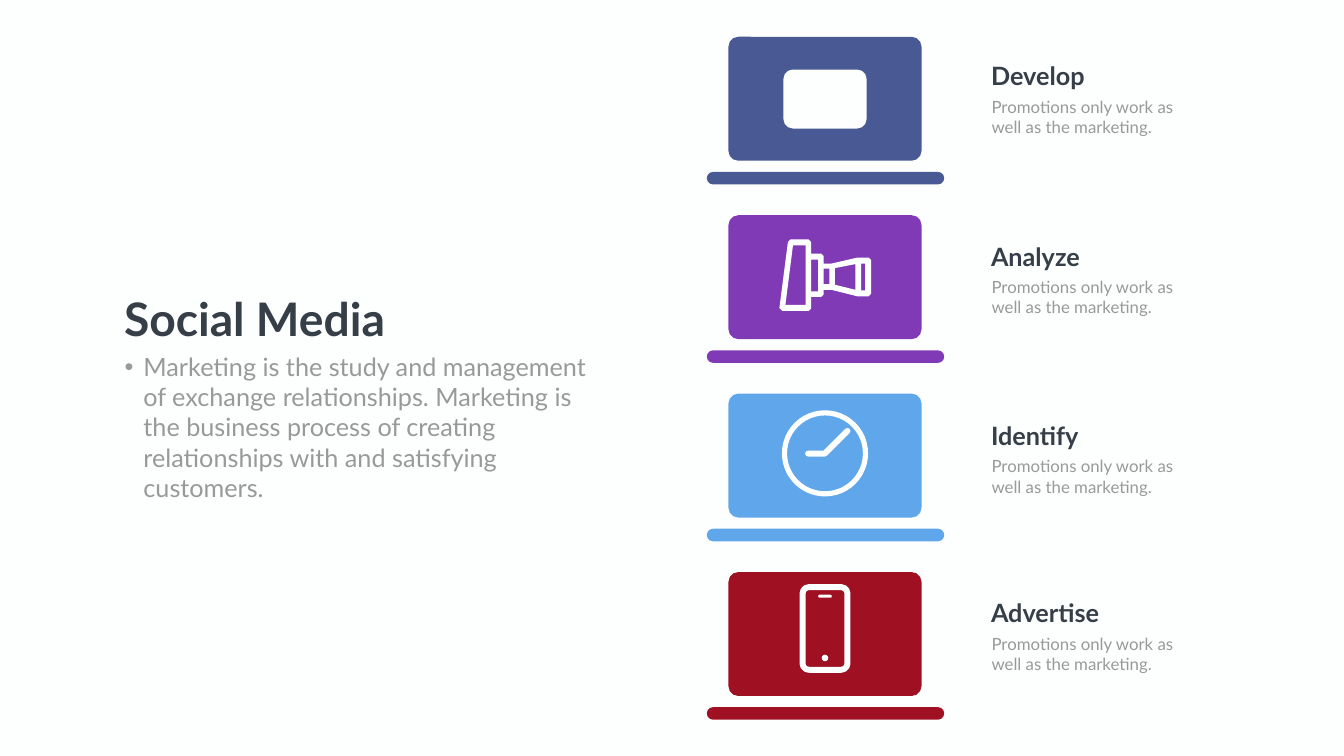
from dataclasses import dataclass

from lxml import etree
from pptx import Presentation
from pptx.dml.color import RGBColor
from pptx.enum.shapes import MSO_SHAPE
from pptx.enum.text import MSO_ANCHOR, MSO_AUTO_SIZE, PP_ALIGN
from pptx.oxml.ns import qn
from pptx.util import Inches, Pt

ROUND = MSO_SHAPE.ROUNDED_RECTANGLE
OVAL = MSO_SHAPE.OVAL
DONUT = MSO_SHAPE.DONUT
TOP = MSO_ANCHOR.TOP
LEFT = PP_ALIGN.LEFT
GROW = MSO_AUTO_SIZE.SHAPE_TO_FIT_TEXT


@dataclass(frozen=True)
class Theme:
    font: str = "Lato"
    paper: str = "FDFFFE"
    dark: str = "363E48"
    gray: str = "999999"
    blue: str = "485994"
    purple: str = "813AB6"
    sky: str = "5FA7EA"
    red: str = "9E1022"
    title: int = 66
    head: int = 36
    body: int = 24
    stroke: float = 8.5


THEME = Theme()
NOTE = "Promotions only work as well as the marketing."
PITCH = 3.54


def paint(shape, color):
    shape.shadow.inherit = False
    shape.fill.solid()
    shape.fill.fore_color.rgb = RGBColor.from_string(color)
    shape.line.fill.background()


def trace(shape):
    shape.shadow.inherit = False
    shape.fill.background()
    shape.line.color.rgb = RGBColor.from_string(THEME.paper)
    shape.line.width = Pt(THEME.stroke)


def place(shape, x, y, w, h):
    shape.left, shape.top = Inches(x), Inches(y)
    shape.width, shape.height = Inches(w), Inches(h)


def add_form(slide, kind, x, y, w, h, color, adjust=None):
    shape = slide.shapes.add_shape(
        kind, Inches(x), Inches(y), Inches(w), Inches(h))
    if adjust is not None:
        shape.adjustments[0] = adjust
    paint(shape, color)
    return shape


def add_path(slide, x, y, rings, close=True):
    rings = [[(Inches(x + a), Inches(y + b)) for a, b in ring]
             for ring in rings]
    pen = slide.shapes.build_freeform(*rings[0][0])
    for index, ring in enumerate(rings):
        if index:
            pen.move_to(*ring[0])
        pen.add_line_segments(ring[1:], close=close)
    return pen.convert_to_shape()


def write(shape, text, size, color, bold=False):
    frame = shape.text_frame
    frame.text = text
    frame.word_wrap = True
    frame.auto_size = GROW
    frame.vertical_anchor = TOP
    para = frame.paragraphs[0]
    para.alignment = LEFT
    para.space_before = Pt(0)
    para.font.name = THEME.font
    para.font.size = Pt(size)
    para.font.bold = bold
    para.font.color.rgb = RGBColor.from_string(color)


def add_text(slide, x, y, w, h, *style):
    box = slide.shapes.add_textbox(
        Inches(x), Inches(y), Inches(w), Inches(h))
    write(box, *style)


def draw_video(slide, x, y):
    add_form(slide, ROUND, x + 1.09, y + 0.65, 1.65, 1.17, THEME.paper, 0.16)


def draw_scope(slide, x, y):
    def pane(left, top, right, low):
        return [(left, top), (right, top), (right, low), (left, low)]

    body = [(0.17, 0.05), (0.22, 0), (0.58, 0), (0.63, 0.05), (0.63, 0.28),
            (0.83, 0.28), (0.88, 0.33), (0.88, 0.48), (1.03, 0.48),
            (1.55, 0.36), (1.77, 0.36), (1.82, 0.41), (1.82, 1.08),
            (1.77, 1.13), (1.55, 1.13), (1.03, 1), (0.88, 1), (0.88, 1.09),
            (0.83, 1.14), (0.63, 1.14), (0.63, 1.37), (0.58, 1.42),
            (0.06, 1.42), (0, 1.36)]
    rings = [
        body,
        [(0.27, 0.12), (0.52, 0.12), (0.52, 1.3), (0.12, 1.3)],
        pane(0.63, 0.4, 0.77, 1.03),
        pane(0.88, 0.58, 0.99, 0.89),
        [(1.1, 0.57), (1.51, 0.49), (1.51, 1), (1.1, 0.9)],
        pane(1.62, 0.48, 1.7, 1.01),
    ]
    paint(add_path(slide, x + 1.01, y + 0.48, rings), THEME.paper)


def draw_clock(slide, x, y):
    add_form(slide, DONUT, x + 1.06, y + 0.33, 1.71, 1.71, THEME.paper, 0.06)
    hands = [(1.58, 1.19), (1.91, 1.19), (2.36, 0.74)]
    shape = add_path(slide, x, y, [hands], close=False)
    trace(shape)
    line = shape.line._get_or_add_ln()
    line.set("cap", "rnd")
    etree.SubElement(line, qn("a:round"))


def draw_phone(slide, x, y):
    case = add_form(slide, ROUND, x + 1.47, y + 0.3, 0.89, 1.64,
                    THEME.paper, 0.14)
    trace(case)
    add_form(slide, OVAL, x + 1.85, y + 1.64, 0.13, 0.13, THEME.paper)
    add_form(slide, ROUND, x + 1.78, y + 0.45, 0.27, 0.06, THEME.paper, 0.5)


def add_step(slide, x, y, name, color, draw, drop):
    add_form(slide, ROUND, x + 0.43, y, 3.83, 2.46, color, 0.08)
    add_form(slide, ROUND, x, y + 2.68, 4.71, 0.25, color, 0.5)
    draw(slide, x + 0.43, y)
    add_text(slide, x + 5.54, y + drop, 2.61, 0.71,
             name, THEME.head, THEME.dark, True)
    add_text(slide, x + 5.55, y + drop + 0.71, 4.02, 0.91,
             NOTE, THEME.body, THEME.gray)


def add_intro(slide, x, y):
    title, body = slide.placeholders
    place(title, x, y, 7.05, 1.21)
    write(title, "Social Media", THEME.title, THEME.dark, True)
    place(body, x + 0.01, y + 1.21, 9.51, 2.52)
    body.text_frame.text = ""
    props = body.text_frame.paragraphs[0]._p.get_or_add_pPr()
    props.set("marL", "0")
    props.set("indent", "0")
    etree.SubElement(props, qn("a:buNone"))
    write(body, "Marketing is the study and management of exchange "
          "relationships. Marketing is the business process of creating "
          "relationships with and satisfying customers.",
          THEME.head, THEME.gray)


def main():
    deck = Presentation()
    deck.slide_width, deck.slide_height = Inches(26.66), Inches(15)
    slide = deck.slides.add_slide(deck.slide_layouts[1])
    back = slide.background.fill
    back.solid()
    back.fore_color.rgb = RGBColor.from_string(THEME.paper)
    steps = [
        ("Develop", THEME.blue, draw_video, 0.42),
        ("Analyze", THEME.purple, draw_scope, 0.46),
        ("Identify", THEME.sky, draw_clock, 0.48),
        ("Advertise", THEME.red, draw_phone, 0.46),
    ]
    for index, step in enumerate(steps):
        add_step(slide, 14.02, 0.73 + index * PITCH, *step)
    add_intro(slide, 2.36, 5.71)
    deck.save("out.pptx")


if __name__ == "__main__":
    main()
